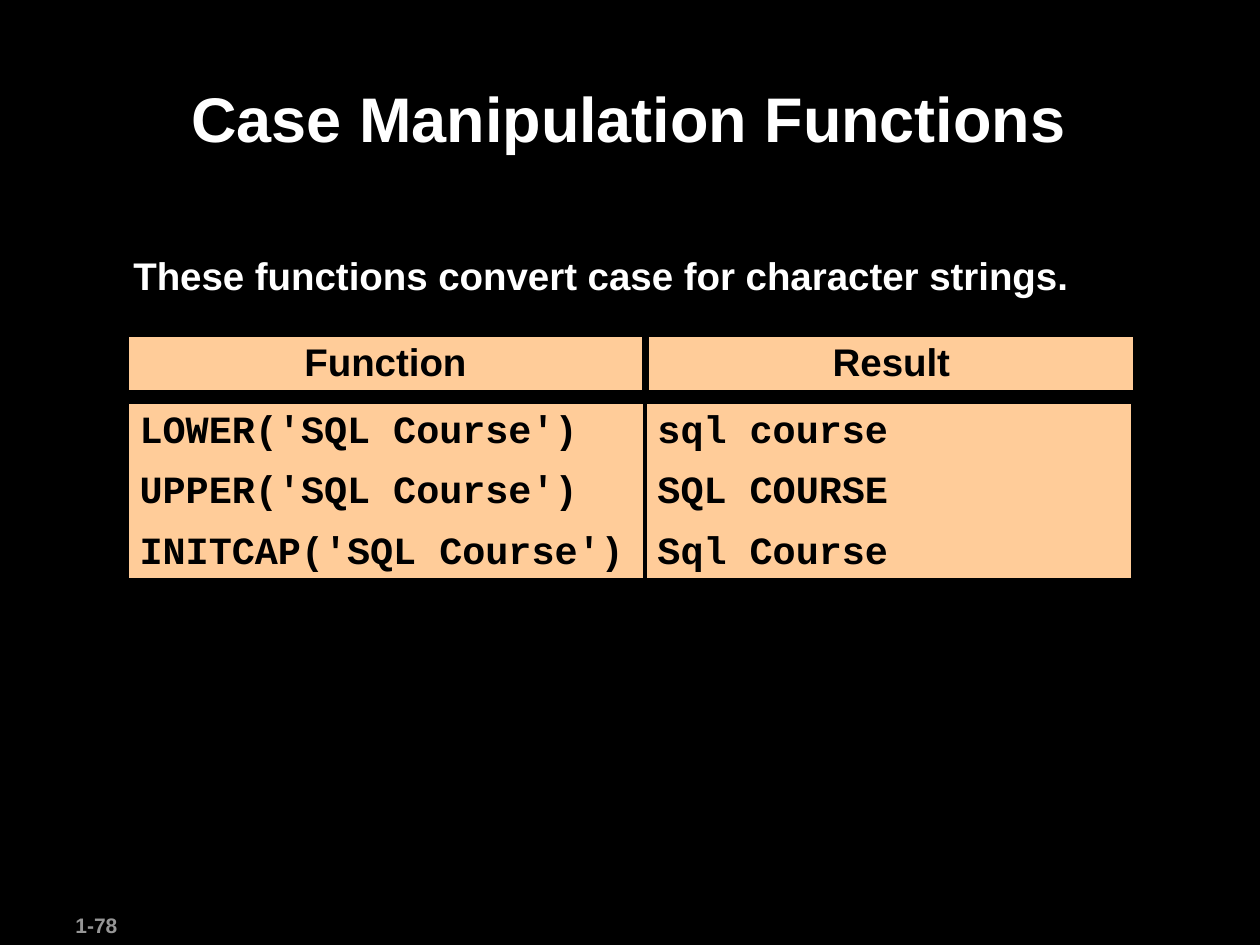
from pptx import Presentation
from pptx.dml.color import RGBColor
from pptx.enum import shapes, text
from pptx.util import Inches, Pt

BLACK = RGBColor(0x00, 0x00, 0x00)
WHITE = RGBColor(0xFF, 0xFF, 0xFF)
PEACH = RGBColor(0xFF, 0xCC, 0x99)
GRAY = RGBColor(0x96, 0x96, 0x96)
LEFT, CENTER = text.PP_ALIGN.LEFT, text.PP_ALIGN.CENTER


def write_lines(shape, lines, size, color, font="Arial", align=LEFT, spacing=0.95):
    frame = shape.text_frame
    frame_format = {
        "word_wrap": True,
        "vertical_anchor": text.MSO_ANCHOR.TOP,
        "margin_left": Inches(0.1),
        "margin_right": Inches(0.1),
        "margin_top": Inches(0.05),
        "margin_bottom": Inches(0.05),
    }
    for name, value in frame_format.items():
        setattr(frame, name, value)
    font_format = {"name": font, "size": Pt(size), "bold": True}
    for index, line in enumerate(lines):
        paragraph = frame.add_paragraph() if index else frame.paragraphs[0]
        paragraph.alignment = align
        paragraph.line_spacing = spacing
        if index:
            paragraph.space_before = Pt(9.6)
        run = paragraph.add_run()
        run.text = line
        for name, value in font_format.items():
            setattr(run.font, name, value)
        run.font.color.rgb = color


def add_panel(left, top, width, height):
    panel = slide.shapes.add_shape(
        shapes.MSO_SHAPE.RECTANGLE,
        Inches(left), Inches(top), Inches(width), Inches(height),
    )
    panel.shadow.inherit = False
    panel.fill.solid()
    panel.fill.fore_color.rgb = PEACH
    panel.line.color.rgb = BLACK
    panel.line.width = Pt(2)
    return panel


presentation = Presentation()
presentation.slide_width = Inches(10)
presentation.slide_height = Inches(7.5)
slide = presentation.slides.add_slide(presentation.slide_layouts[6])
slide.background.fill.solid()
slide.background.fill.fore_color.rgb = BLACK

# Page number, title and introduction
text_boxes = [
    ("1-78", (0.5, 7.19, 1.05, 0.3), 12, GRAY, LEFT, 1.0),
    ("Case Manipulation Functions", (0.94, 0.58, 8.1, 0.96), 36, WHITE, CENTER, 1.0),
    ("These functions convert case for character strings.",
     (0.96, 1.98, 8.08, 0.45), 22, WHITE, LEFT, 0.95),
]
for line, box, size, color, align, spacing in text_boxes:
    text_box = slide.shapes.add_textbox(*map(Inches, box))
    write_lines(text_box, [line], size, color, align=align, spacing=spacing)

# Column headings
for heading, left, width in [("Function", 1.01, 4.1), ("Result", 5.14, 3.87)]:
    panel = add_panel(left, 2.66, width, 0.45)
    write_lines(panel, [heading], 22, BLACK, align=CENTER)

# Function calls and their results
columns = [
    (1.01, 4.18, ["LOWER('SQL Course')", "UPPER('SQL Course')", "INITCAP('SQL Course')"]),
    (5.12, 3.87, ["sql course", "SQL COURSE", "Sql Course"]),
]
for left, width, lines in columns:
    panel = add_panel(left, 3.19, width, 1.41)
    write_lines(panel, lines, 22, BLACK, font="Courier New")

presentation.save("out.pptx")
